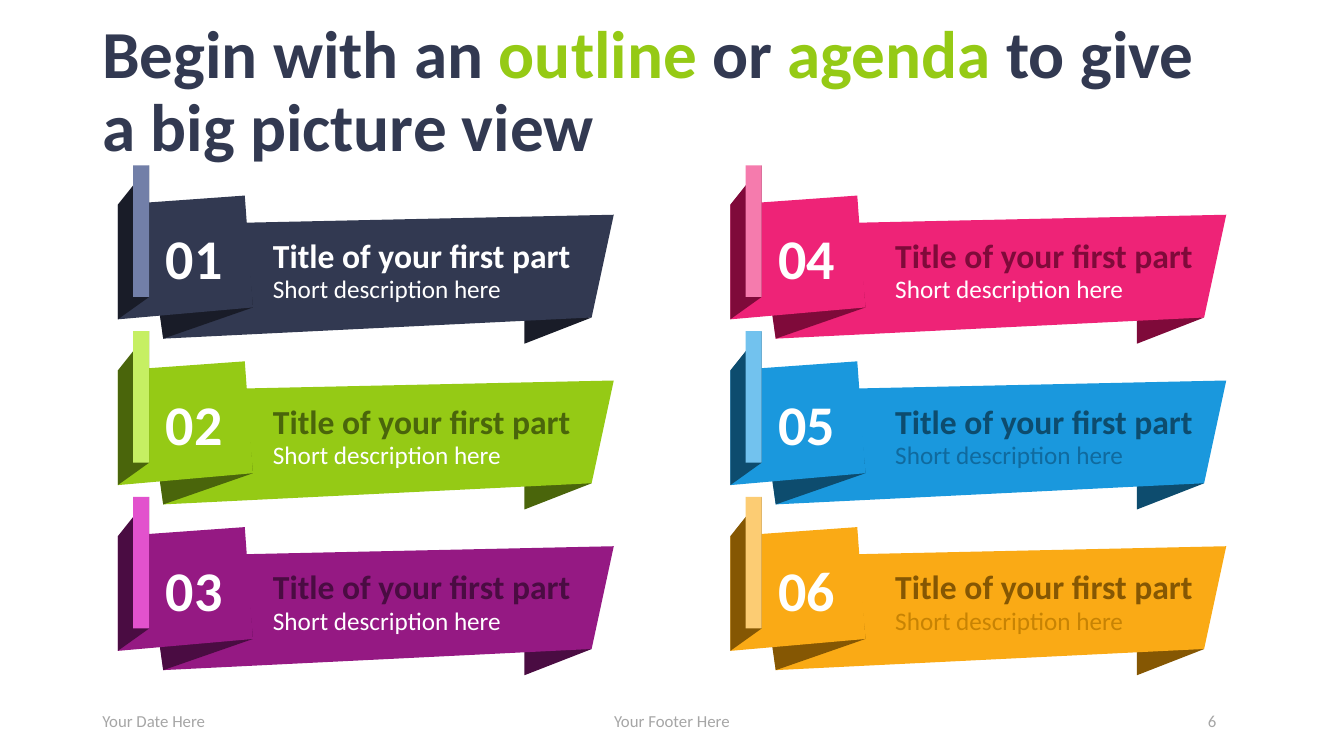
from dataclasses import dataclass

from pptx import Presentation
from pptx.dml.color import RGBColor
from pptx.enum.shapes import MSO_SHAPE
from pptx.enum.text import MSO_ANCHOR, PP_ALIGN
from pptx.shapes.autoshape import Shape
from pptx.slide import Slide
from pptx.util import Pt

RECT = MSO_SHAPE.RECTANGLE
TOP, MIDDLE = MSO_ANCHOR.TOP, MSO_ANCHOR.MIDDLE
LEFT, CENTER, RIGHT = PP_ALIGN.LEFT, PP_ALIGN.CENTER, PP_ALIGN.RIGHT

Point = tuple[float, float]
Box = tuple[float, float, float, float]
Run = tuple[str, str]


@dataclass(frozen=True)
class Theme:
    font: str = "Calibri"
    ink: str = "323951"
    accent: str = "95CA15"
    white: str = "FFFFFF"
    muted: str = "A6A6A6"
    head: float = 48
    number: float = 40
    title: float = 24
    detail: float = 18
    foot: float = 12


@dataclass(frozen=True)
class Ribbon:
    main: str
    dark: str
    light: str
    title: str
    detail: str


@dataclass(frozen=True)
class Footer:
    text: str
    box: Box
    align: PP_ALIGN


THEME = Theme()
WHITE = THEME.white

RIBBONS = [
    Ribbon(THEME.ink, "191C28", "727FA8", WHITE, WHITE),
    Ribbon(THEME.accent, "4A650B", "C6EF63", "4A650B", WHITE),
    Ribbon("951983", "4A0C42", "E252CD", "4A0C42", WHITE),
    Ribbon("EE2377", "7F0A3A", "F57BAD", "7F0A3A", WHITE),
    Ribbon("1A98DD", "0D4C6E", "72C2EE", "0D4C6E", "106A9E"),
    Ribbon("FAAA15", "855703", "FCCC73", "855703", "C78304"),
]
FOOTERS = [
    Footer("Your Date Here", (66, 500.4, 216, 28.8), LEFT),
    Footer("Your Footer Here", (318, 500.4, 324, 28.8), CENTER),
    Footer("6", (837.4, 500.4, 56.9, 28.8), CENTER),
]
HEAD: list[Run] = [
    ("Begin with an ", THEME.ink),
    ("outline", THEME.accent),
    (" or ", THEME.ink),
    ("agenda", THEME.accent),
    (" to give a big picture view", THEME.ink),
]

ROWS = 3
START: Point = (84.2, 118.1)
STEP: Point = (437.5, 118.4)
INDENTS = (103.7, 110.7)

TAIL: list[Point] = [(338.4, 108.7), (290.4, 127.4), (290.4, 105.1)]
BODY: list[Point] = [(338.4, 108.7), (32.4, 123.8), (22.4, 42.5), (354.2, 35.3)]
FOLD: list[Point] = [(32.4, 123.8), (96.5, 101.5), (90.7, 41), (25.9, 79.2)]
FLAG: list[Point] = [(96.5, 101.5), (90.7, 21.6), (0, 28.1), (0, 110)]
SIDE: list[Point] = [(0, 28.1), (22.4, 0), (22.4, 94), (0, 110)]


def write(shape: Shape, text: str | list[Run], *, size: float,
          color: str = WHITE, bold: bool = False, align: PP_ALIGN = LEFT,
          anchor: MSO_ANCHOR = TOP, inset: Box = (7.2, 3.6, 7.2, 3.6),
          leading: float = 1.0) -> None:
    frame = shape.text_frame
    frame.word_wrap = True
    frame.vertical_anchor = anchor
    frame.margin_left, frame.margin_top, frame.margin_right, frame.margin_bottom = map(Pt, inset)
    para = frame.paragraphs[0]
    para.alignment = align
    para.line_spacing = leading
    runs = [(text, color)] if isinstance(text, str) else text
    for words, tint in runs:
        run = para.add_run()
        run.text = words
        run.font.name = THEME.font
        run.font.size = Pt(size)
        run.font.bold = bold
        run.font.color.rgb = RGBColor.from_string(tint)


def add_box(slide: Slide, box: Box) -> Shape:
    return slide.shapes.add_textbox(*map(Pt, box))


def paint(shape: Shape, color: str) -> Shape:
    shape.shadow.inherit = False
    shape.fill.solid()
    shape.fill.fore_color.rgb = RGBColor.from_string(color)
    shape.line.fill.background()
    return shape


def add_piece(slide: Slide, left: float, top: float,
              points: list[Point], color: str) -> Shape:
    spots = [(Pt(left + x), Pt(top + y)) for x, y in points]
    outline = slide.shapes.build_freeform(*spots[0])
    outline.add_line_segments(spots[1:], close=True)
    return paint(outline.convert_to_shape(), color)


def add_ribbon(slide: Slide, index: int, ribbon: Ribbon) -> None:
    col, row = divmod(index, ROWS)
    left, top = START[0] + col * STEP[0], START[1] + row * STEP[1]
    add_piece(slide, left, top, TAIL, ribbon.dark)
    add_piece(slide, left, top, BODY, ribbon.main)
    add_piece(slide, left, top, FOLD, ribbon.dark)
    flag = add_piece(slide, left, top, FLAG, ribbon.main)
    write(flag, f"{index + 1:02}", size=THEME.number, bold=True, align=RIGHT,
          anchor=MIDDLE, inset=(7.2, 3.6, 21.6, 3.6))
    add_piece(slide, left, top, SIDE, ribbon.dark)
    bar = slide.shapes.add_shape(RECT, Pt(left + 11), Pt(top), Pt(11.4), Pt(94))
    paint(bar, ribbon.light)

    indent = left + INDENTS[col]
    write(add_box(slide, (indent, top + 35.2, 234.7, 43.9)), "Title of your first part",
          size=THEME.title, color=ribbon.title, bold=True, inset=(7.2, 14.4, 7.2, 0))
    write(add_box(slide, (indent, top + 77.5, 234.7, 21.6)), "Short description here",
          size=THEME.detail, color=ribbon.detail, inset=(7.2, 0, 7.2, 0))


def main() -> None:
    deck = Presentation()
    deck.slide_width, deck.slide_height = Pt(960), Pt(540)
    slide = deck.slides.add_slide(deck.slide_layouts[6])
    write(add_box(slide, (66, 22.1, 828, 89.3)), HEAD, size=THEME.head,
          bold=True, anchor=MIDDLE, leading=0.9)
    for footer in FOOTERS:
        write(add_box(slide, footer.box), footer.text, size=THEME.foot,
              color=THEME.muted, align=footer.align, anchor=MIDDLE)
    for index, ribbon in enumerate(RIBBONS):
        add_ribbon(slide, index, ribbon)
    deck.save("out.pptx")


if __name__ == "__main__":
    main()
